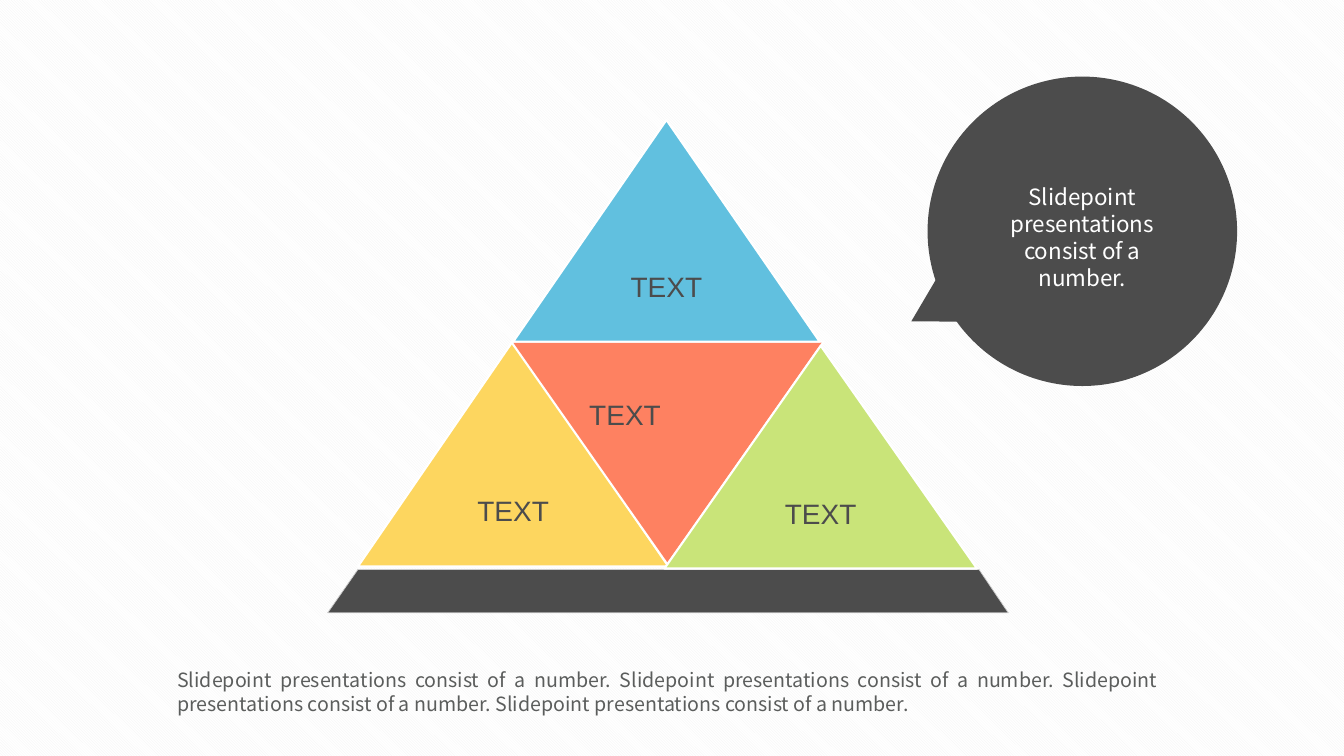
from pptx import Presentation
from pptx.dml.color import RGBColor
from pptx.enum import dml, shapes, text
from pptx.util import Inches, Pt

DARK = RGBColor(0x4C, 0x4C, 0x4C)
GREY = RGBColor(0x5B, 0x5D, 0x5C)
EDGE = RGBColor(0xCC, 0xCC, 0xCC)
PALE = RGBColor(0xF2, 0xF2, 0xF2)
WHITE = RGBColor(0xFF, 0xFF, 0xFF)
GOLD = RGBColor(0xFD, 0xD6, 0x5F)
CORAL = RGBColor(0xFE, 0x81, 0x61)
BLUE = RGBColor(0x61, 0xC0, 0xDF)
LIME = RGBColor(0xC9, 0xE4, 0x79)

LABEL = "TEXT"
QUOTE = "Slidepoint presentations consist of a number."
NOTE = " ".join([QUOTE] * 4)
BASE = [(3.25, 6.08), (3.55, 5.65), (9.71, 5.65), (10, 6.08)]
LEFT = (3.55, 3.38, 3.08, 2.24)
MID = (5.07, 3.39, 3.1, 2.21)
TOP = (5.09, 1.19, 3.04, 2.2)
RIGHT = (6.59, 3.43, 3.1, 2.21)
MIDTEXT = (5.7, 3.86, 1, 0.5)
DISC = (9.2, 0.76, 3.07, 3.07)
TAIL = (8.92, 2.56, 0.97, 0.84)
TURN = 240.5

TRI = shapes.MSO_SHAPE.ISOSCELES_TRIANGLE
ALIGN = text.PP_ALIGN


def paint(shape, color, line=None, width=0):
    shape.shadow.inherit = False
    shape.fill.solid()
    shape.fill.fore_color.rgb = color
    if line is None:
        shape.line.fill.background()
    else:
        shape.line.color.rgb = line
        shape.line.width = Pt(width)


def write(frame, words, size, face, color, align):
    frame.text = words
    para = frame.paragraphs[0]
    para.alignment = align
    font = para.runs[0].font
    font.size, font.name = Pt(size), face
    font.color.rgb = color


def label(frame):
    write(frame, LABEL, 20, "Arial", DARK, ALIGN.CENTER)
    frame.word_wrap = False
    frame.vertical_anchor = text.MSO_ANCHOR.MIDDLE
    frame.margin_left = frame.margin_right = Inches(0.05)


def add(tree, kind, box, *style):
    shape = tree.add_shape(kind, *map(Inches, box))
    paint(shape, *style)
    return shape


def textbox(tree, box):
    frame = tree.add_textbox(*map(Inches, box)).text_frame
    frame.word_wrap = True
    return frame


def main():
    deck = Presentation()
    deck.slide_width, deck.slide_height = Inches(13.33), Inches(7.5)
    slide = deck.slides.add_slide(deck.slide_layouts[6])
    back = slide.background.fill
    back.patterned()
    back.pattern = dml.MSO_PATTERN.LIGHT_DOWNWARD_DIAGONAL
    back.fore_color.rgb, back.back_color.rgb = PALE, WHITE
    tree = slide.shapes

    label(add(tree, TRI, LEFT, GOLD, WHITE, 1.5).text_frame)

    first, *rest = [(Inches(x), Inches(y)) for x, y in BASE]
    form = tree.build_freeform(*first)
    form.add_line_segments(rest, close=True)
    paint(form.convert_to_shape(), DARK, EDGE, 0.5)

    mid = add(tree, TRI, MID, CORAL, WHITE, 1.5)
    mid.element.spPr.xfrm.set("flipV", "1")
    label(textbox(tree, MIDTEXT))

    for box, color in ((TOP, BLUE), (RIGHT, LIME)):
        label(add(tree, TRI, box, color, WHITE, 1.5).text_frame)

    bubble = tree.add_group_shape().shapes
    add(bubble, shapes.MSO_SHAPE.OVAL, DISC, DARK)
    add(bubble, TRI, TAIL, DARK).rotation = TURN

    face = "Noto Sans CJK SC"
    write(textbox(tree, (1.66, 6.58, 9.93, 0.57)), NOTE, 14, face, GREY, ALIGN.JUSTIFY)
    write(textbox(tree, (9.82, 1.77, 1.83, 1.18)), QUOTE, 16, face, WHITE, ALIGN.CENTER)

    deck.save("out.pptx")


if __name__ == "__main__":
    main()
